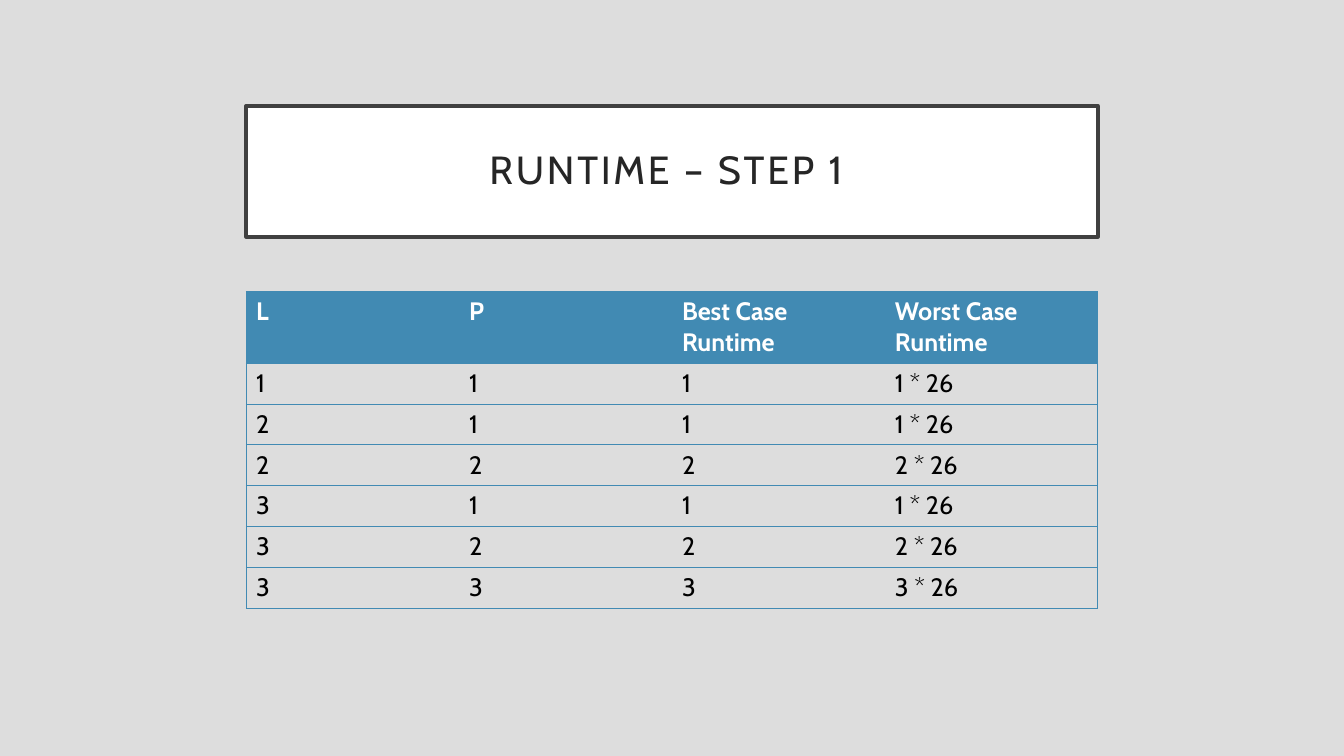
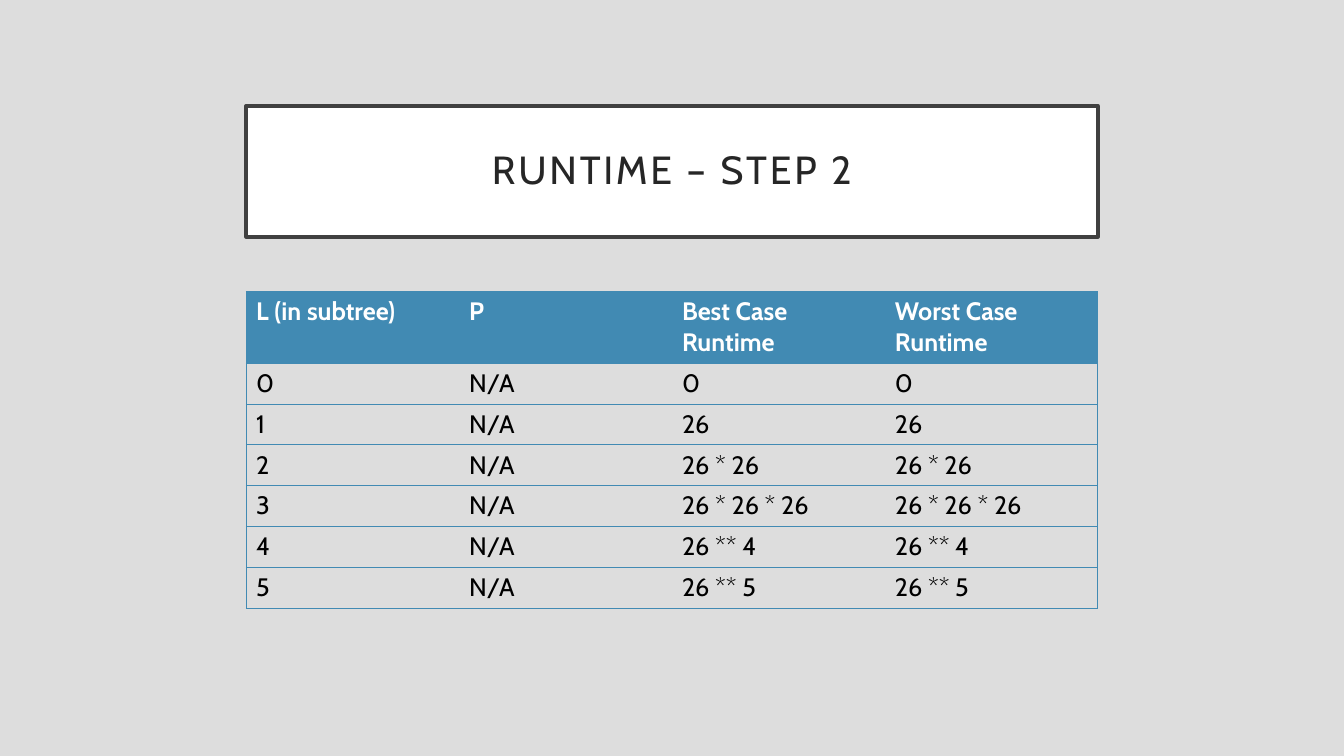
import pptx
import pptx.util
import pptx.dml.color
import pptx.enum.shapes
import pptx.enum.text
import pptx.oxml.ns
import lxml.etree

Pt = pptx.util.Pt
RGB = pptx.dml.color.RGBColor.from_string
qn = pptx.oxml.ns.qn


class Theme:
    """Colours, type sizes and measures in points."""
    back, white, black = "DDDDDD", "FFFFFF", "000000"
    frame, ink, blue = "404040", "262626", "418AB3"
    font, big, body = "Cabin", 28, 18
    wide, high = 960, 540
    span = 608.4
    left = (wide - span) / 2
    title_top, title_high, inset = 75.6, 93.6, 14.4
    table_top, head_high, row_high = 208.1, 50.6, 29.2
    thick, thin, track = 2.5, 0.5, 2


def assign(item, values):
    for name, value in values.items():
        setattr(item, name, value)


class Deck:
    def __init__(self, theme):
        self.theme = theme
        self.file = pptx.Presentation()
        assign(self.file, {"slide_width": Pt(theme.wide),
                           "slide_height": Pt(theme.high)})
        self.paint(self.file.slide_master.background.fill, theme.back)
        self.slide = None

    def page(self):
        self.slide = self.file.slides.add_slide(self.file.slide_layouts[6])

    def paint(self, fill, color):
        fill.solid()
        fill.fore_color.rgb = RGB(color)

    def label(self, para, text, size, color, bold=False):
        run = para.add_run()
        run.text = text
        assign(run.font, {"name": self.theme.font, "size": Pt(size),
                          "bold": bold})
        run.font.color.rgb = RGB(color)
        return run

    def title(self, text):
        t = self.theme
        box = self.slide.shapes.add_shape(
            pptx.enum.shapes.MSO_SHAPE.RECTANGLE, Pt(t.left),
            Pt(t.title_top), Pt(t.span), Pt(t.title_high))
        box.shadow.inherit = False
        self.paint(box.fill, t.white)
        self.paint(box.line.fill, t.frame)
        box.line.width = Pt(t.thick)
        frame = box.text_frame
        assign(frame, {"margin_" + side: Pt(t.inset)
                       for side in ("left", "right", "top", "bottom")})
        assign(frame, {"word_wrap": True,
                       "vertical_anchor": pptx.enum.text.MSO_ANCHOR.MIDDLE})
        para = frame.paragraphs[0]
        assign(para, {"alignment": pptx.enum.text.PP_ALIGN.CENTER,
                      "line_spacing": 0.9})
        run = self.label(para, text, t.big, t.ink)
        run._r.get_or_add_rPr().set("spc", str(t.track * 100))

    def border(self, cell, sides):
        """Draw the named sides (L, R, T, B) and clear the others."""
        props = cell._tc.get_or_add_tcPr()
        for side in "LRTB":
            line = lxml.etree.SubElement(props, qn("a:ln" + side),
                                         w=str(Pt(self.theme.thin)))
            if side in sides:
                fill = lxml.etree.SubElement(line, qn("a:solidFill"))
                lxml.etree.SubElement(fill, qn("a:srgbClr"),
                                      val=self.theme.blue)
            else:
                lxml.etree.SubElement(line, qn("a:noFill"))

    def table(self, rows):
        t = self.theme
        count, cols = len(rows), len(rows[0])
        high = t.head_high + t.row_high * (count - 1)
        grid = self.slide.shapes.add_table(
            count, cols, Pt(t.left), Pt(t.table_top),
            Pt(t.span), Pt(high)).table
        assign(grid, {"first_row": False, "horz_banding": False})
        for col in grid.columns:
            col.width = Pt(t.span / cols)
        for r, row in enumerate(rows):
            head = r == 0
            grid.rows[r].height = Pt(t.head_high if head else t.row_high)
            for c, text in enumerate(row):
                cell = grid.cell(r, c)
                ends = ("L" if c == 0 else "") + ("R" if c == cols - 1 else "")
                self.border(cell, "TB" + ends)
                if head:
                    self.paint(cell.fill, t.blue)
                else:
                    cell.fill.background()
                self.label(cell.text_frame.paragraphs[0], text, t.body,
                           t.white if head else t.black, head)


# Contents: title, first column heading, body rows
cases = ["Best Case Runtime", "Worst Case Runtime"]
pairs = [(size, place) for size in range(1, 4) for place in range(1, size + 1)]
costs = ["0", "26", "26 * 26", "26 * 26 * 26", "26 ** 4", "26 ** 5"]
pages = [
    ("RUNTIME – STEP 1 ", "L",
     [[str(size), str(place), str(place), f"{place} * 26"]
      for size, place in pairs]),
    ("RUNTIME – STEP 2", "L (in subtree)",
     [[str(size), "N/A", cost, cost] for size, cost in enumerate(costs)]),
]

# Build the slides
deck = Deck(Theme)
for title, first, body in pages:
    deck.page()
    deck.title(title)
    deck.table([[first, "P"] + cases] + body)
deck.file.save("out.pptx")
